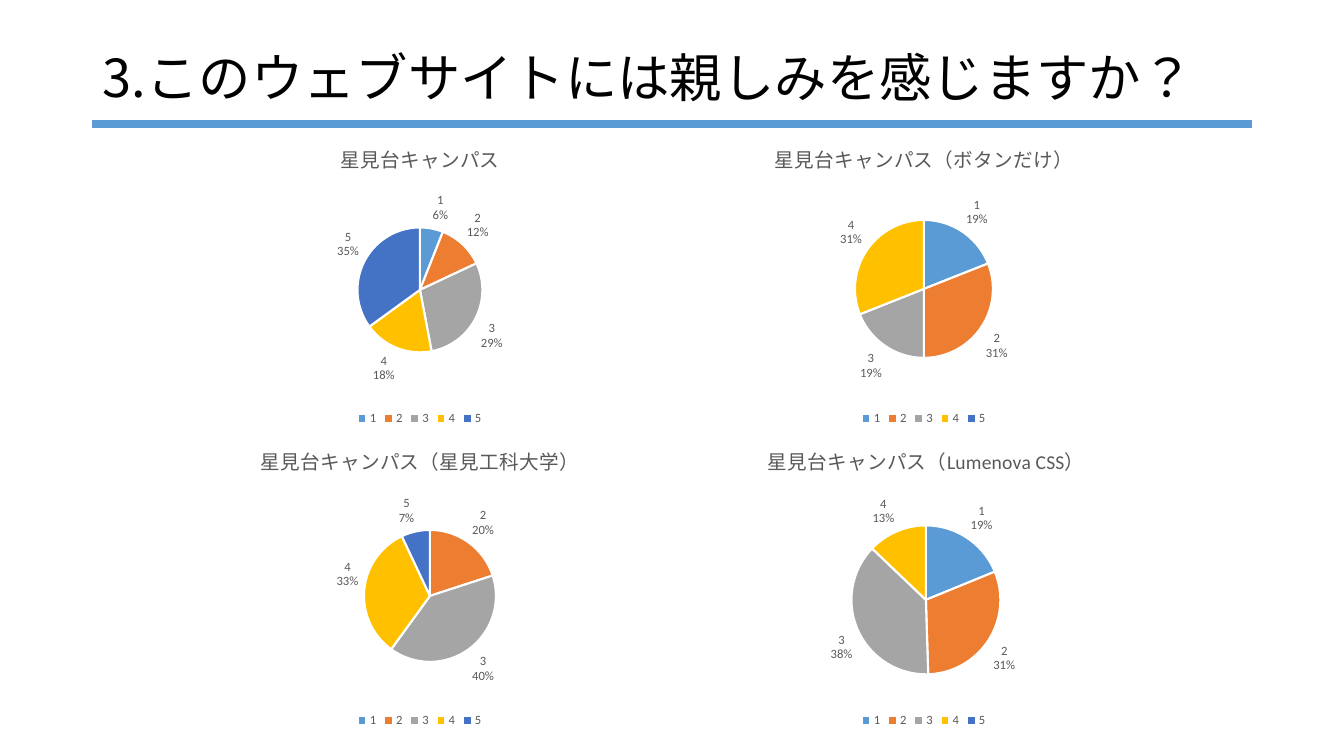
import pptx
import pptx.chart.data
import pptx.dml.color
import pptx.enum.chart
import pptx.enum.lang
import pptx.enum.shapes
import pptx.enum.text
import pptx.oxml
import pptx.oxml.ns
import pptx.util

# Content
HEADING = "3.このウェブサイトには親しみを感じますか？"
RATINGS = ["1", "2", "3", "4", "5"]
RATING_COLORS = ["5B9BD5", "ED7D31", "A5A5A5", "FFC000", "4472C4"]
# Title, shares in percent, title left, pie centre x, centre y, diameter (px)
SURVEYS = [
    ("星見台キャンパス", [6, 12, 29, 18, 35], 337, 420, 290, 125),
    ("星見台キャンパス（ボタンだけ）", [19, 31, 19, 31, 0], 771, 924, 289, 138),
    ("星見台キャンパス（星見工科大学）", [0, 20, 40, 33, 7], 257, 430, 596, 132),
    ("星見台キャンパス（Lumenova CSS）", [19, 31, 38, 13, 0], 764, 926, 600, 149),
]

# Geometry in px
GRID_LEFT, GRID_TOP = 168, 128
CHART_W, CHART_H = 504, 302
TITLE_DROP = 11
GRAY = "595959"
LATIN, JAPANESE = "Calibri", "Noto Sans CJK JP"


def px(length):
    return pptx.util.Emu(round(length * 914400 / 100.8))


def color(value):
    return pptx.dml.color.RGBColor.from_string(value)


def chart_xml(tag, content=""):
    uri = pptx.oxml.ns.nsuri("c")
    return pptx.oxml.parse_xml(f'<c:{tag} xmlns:c="{uri}">{content}</c:{tag}>')


def style(font, size, value, latin=LATIN):
    font.size = pptx.util.Pt(size)
    font.bold = False
    font.color.rgb = color(value)
    font.name = latin


def add_run(paragraph, text, size, value, latin):
    run = paragraph.add_run()
    run.text = text
    style(run.font, size, value, latin)
    run.font.language_id = pptx.enum.lang.MSO_LANGUAGE_ID.JAPANESE
    latin_tag = run.font._element.find(pptx.oxml.ns.qn("a:latin"))
    uri = pptx.oxml.ns.nsuri("a")
    latin_tag.addnext(pptx.oxml.parse_xml(
        f'<a:ea xmlns:a="{uri}" typeface="{JAPANESE}"/>'))


def set_layout(parent, index, fractions, target=""):
    """Give a chart part a fixed place, as fractions of the chart."""
    for old in parent.findall(pptx.oxml.ns.qn("c:layout")):
        parent.remove(old)
    modes = "".join(f'<c:{axis}Mode val="edge"/>' for axis in "xy")
    values = "".join(f'<c:{key} val="{value:.4f}"/>' for key, value in fractions.items())
    manual = f"<c:manualLayout>{target}{modes}{values}</c:manualLayout>"
    parent.insert(index, chart_xml("layout", manual))


def label_slices(series, shares):
    labels = series.data_labels
    labels.show_value = False
    labels.show_category_name = True
    labels.show_percentage = True
    labels.number_format = "0%"
    labels.number_format_is_linked = False
    labels.position = pptx.enum.chart.XL_LABEL_POSITION.OUTSIDE_END
    style(labels.font, 9, GRAY)
    root = labels._element
    last_flag = root.find(pptx.oxml.ns.qn("c:showBubbleSize"))
    if last_flag is None:
        last_flag = root.find(pptx.oxml.ns.qn("c:showPercent"))
    last_flag.addnext(chart_xml("separator", "\n"))
    # Empty slices carry no label
    empty = [index for index, share in enumerate(shares) if share == 0]
    for place, index in enumerate(empty):
        hidden = f'<c:idx val="{index}"/><c:delete val="1"/>'
        root.insert(place, chart_xml("dLbl", hidden))


def add_survey(slide, position, survey):
    title, shares, title_left, center_x, center_y, diameter = survey
    row, column = divmod(position, 2)
    left, top = GRID_LEFT + column * CHART_W, GRID_TOP + row * CHART_H

    data = pptx.chart.data.CategoryChartData()
    data.categories = RATINGS
    data.add_series("Series 1", shares)
    chart = slide.shapes.add_chart(
        pptx.enum.chart.XL_CHART_TYPE.PIE,
        px(left), px(top), px(CHART_W), px(CHART_H), data).chart
    style(chart.font, 10, "000000")

    # Title
    chart.has_title = True
    add_run(chart.chart_title.text_frame.paragraphs[0], title, 14, GRAY, LATIN)
    set_layout(chart.chart_title._element, 1,
               {"x": (title_left - left) / CHART_W, "y": TITLE_DROP / CHART_H})

    # Legend
    chart.has_legend = True
    chart.legend.position = pptx.enum.chart.XL_LEGEND_POSITION.BOTTOM
    chart.legend.include_in_layout = False
    style(chart.legend.font, 9, GRAY)

    # Slices
    pie = chart.plots[0]
    pie.vary_by_categories = True
    series = pie.series[0]
    for index, value in enumerate(RATING_COLORS):
        slice_format = series.points[index].format
        slice_format.fill.solid()
        slice_format.fill.fore_color.rgb = color(value)
        slice_format.line.color.rgb = color("FFFFFF")
        slice_format.line.width = pptx.util.Pt(1.5)
    label_slices(series, shares)
    set_layout(pie._element.getparent(), 0,
               {"x": (center_x - diameter / 2 - left) / CHART_W,
                "y": (center_y - diameter / 2 - top) / CHART_H,
                "w": diameter / CHART_W, "h": diameter / CHART_H},
               '<c:layoutTarget val="inner"/>')


def main():
    deck = pptx.Presentation()
    deck.slide_width, deck.slide_height = px(1344), px(756)
    slide = deck.slides.add_slide(deck.slide_layouts[6])

    # Rule under the heading
    rule = slide.shapes.add_connector(
        pptx.enum.shapes.MSO_CONNECTOR.STRAIGHT, px(92), px(124), px(1252), px(124))
    rule.line.color.rgb = color("5B9BD5")
    rule.line.width = pptx.util.Pt(6)
    uri = pptx.oxml.ns.nsuri("a")
    rule._element.spPr.append(pptx.oxml.parse_xml(f'<a:effectLst xmlns:a="{uri}"/>'))

    # Heading
    heading = slide.shapes.add_textbox(px(93), px(40), px(1159), px(84)).text_frame
    heading.word_wrap = True
    heading.vertical_anchor = pptx.enum.text.MSO_ANCHOR.MIDDLE
    heading.paragraphs[0].line_spacing = 0.8
    add_run(heading.paragraphs[0], HEADING, 37.4, "000000", JAPANESE)

    # Pie charts, two by two
    for position, survey in enumerate(SURVEYS):
        add_survey(slide, position, survey)

    deck.save("out.pptx")


if __name__ == "__main__":
    main()
